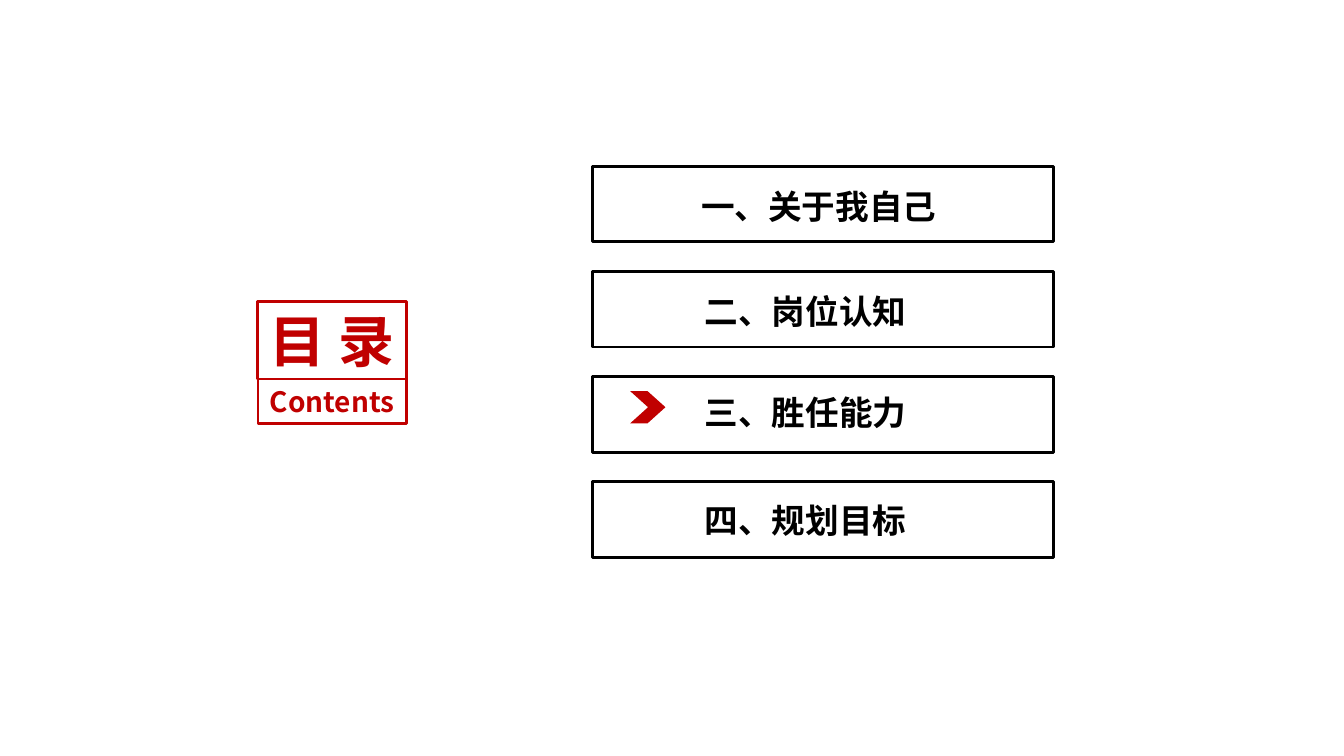
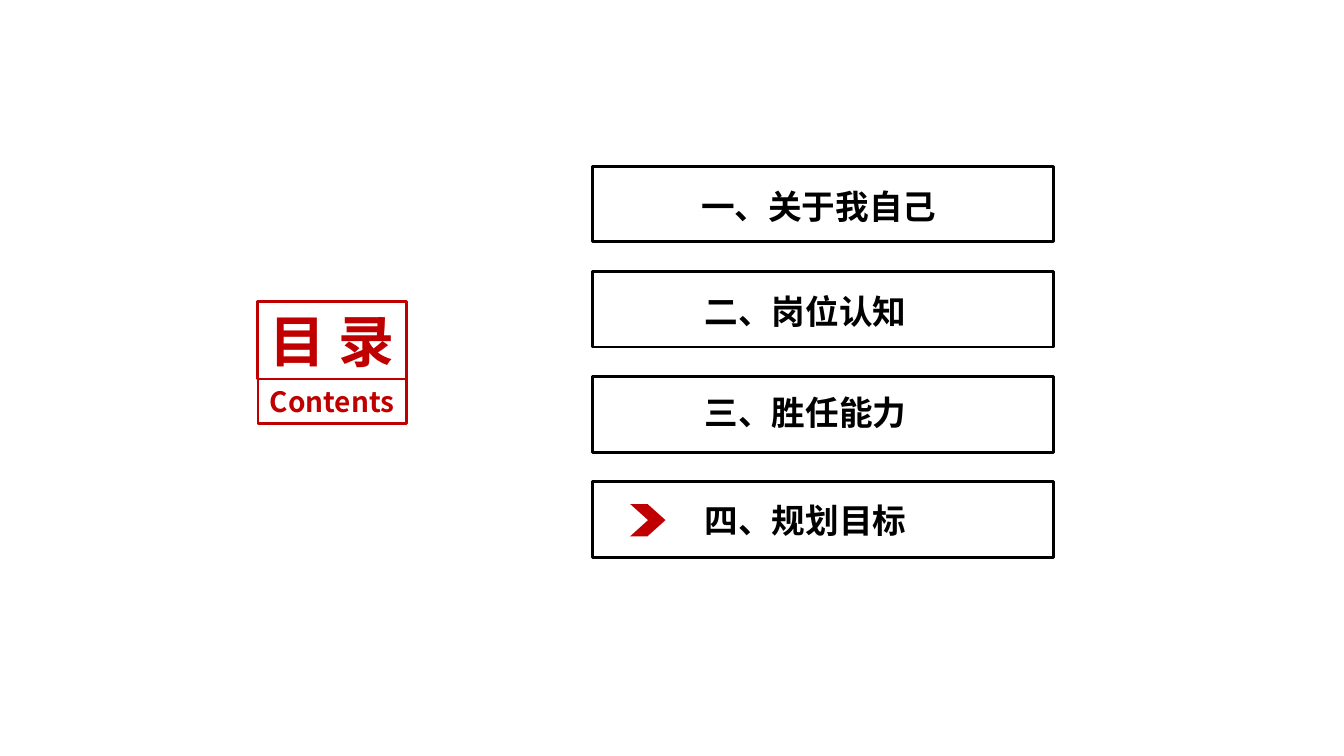
from dataclasses import dataclass

from lxml import etree
from pptx import Presentation
from pptx.dml.color import RGBColor
from pptx.enum.shapes import MSO_SHAPE
from pptx.enum.text import MSO_ANCHOR, MSO_AUTO_SIZE, PP_ALIGN
from pptx.oxml.ns import qn
from pptx.util import Inches, Pt

RECTANGLE = MSO_SHAPE.RECTANGLE
CHEVRON = MSO_SHAPE.CHEVRON
MIDDLE = MSO_ANCHOR.MIDDLE
CENTER = PP_ALIGN.CENTER
NO_AUTOSIZE = MSO_AUTO_SIZE.NONE


@dataclass(frozen=True)
class Theme:
    red: RGBColor = RGBColor(0xC0, 0x00, 0x00)
    black: RGBColor = RGBColor(0x00, 0x00, 0x00)
    white: RGBColor = RGBColor(0xFF, 0xFF, 0xFF)
    font: str = "Noto Sans CJK SC"
    title_size: int = 40
    subtitle_size: int = 20
    chapter_size: int = 24
    line_width: int = 2


@dataclass(frozen=True)
class Box:
    left: float
    top: float
    width: float
    height: float

    def lengths(self):
        return [Inches(value) for value in (self.left, self.top, self.width, self.height)]


@dataclass(frozen=True)
class Chapter:
    text: str
    label: Box


THEME = Theme()

TITLE_BOX = Box(2.55, 2.99, 1.48, 0.77)
SUBTITLE_BOX = Box(2.56, 3.76, 1.47, 0.44)

CHAPTERS = [
    Chapter("一、关于我自己", Box(6.88, 1.81, 2.48, 0.46)),
    Chapter("二、岗位认知", Box(6.92, 2.86, 2.14, 0.46)),
    Chapter("三、胜任能力", Box(6.92, 3.86, 2.14, 0.46)),
    Chapter("四、规划目标", Box(6.92, 4.93, 2.14, 0.46)),
]
FIRST_BAR_TOP, LAST_BAR_TOP = 1.65, 4.78
BAR_STEP = (LAST_BAR_TOP - FIRST_BAR_TOP) / (len(CHAPTERS) - 1)

# One slide for each current chapter, given by its marker
MARKERS = [Box(6.25, 3.88, 0.35, 0.32), Box(6.25, 5.0, 0.35, 0.32)]


def write_text(shape, text: str, *, size: int, color: RGBColor,
               inset: tuple[float, float]) -> None:
    """Write one bold centred line in the theme font."""
    frame = shape.text_frame
    frame.word_wrap = False
    frame.auto_size = NO_AUTOSIZE
    frame.vertical_anchor = MIDDLE
    frame.margin_left = frame.margin_right = Inches(inset[0])
    frame.margin_top = frame.margin_bottom = Inches(inset[1])
    para = frame.paragraphs[0]
    para.alignment = CENTER
    span = para.add_run()
    span.text = text
    span.font.name = THEME.font
    span.font.size = Pt(size)
    span.font.bold = True
    span.font.color.rgb = color
    # East Asian typeface follows the Latin one
    latin = span.font._element.find(qn("a:latin"))
    east_asian = etree.Element(qn("a:ea"), typeface=THEME.font)
    latin.addnext(east_asian)


def add_frame(shapes, box: Box, line_color: RGBColor):
    """Add a white rectangle with a coloured outline."""
    shape = shapes.add_shape(RECTANGLE, *box.lengths())
    shape.shadow.inherit = False
    shape.fill.solid()
    shape.fill.fore_color.rgb = THEME.white
    shape.line.color.rgb = line_color
    shape.line.width = Pt(THEME.line_width)
    return shape


def add_heading(page) -> None:
    group = page.shapes.add_group_shape()
    for text, box, size in (("目 录", TITLE_BOX, THEME.title_size),
                            ("Contents", SUBTITLE_BOX, THEME.subtitle_size)):
        shape = add_frame(group.shapes, box, THEME.red)
        write_text(shape, text, size=size, color=THEME.red, inset=(0.1, 0.05))


def add_chapters(page) -> None:
    for index in range(len(CHAPTERS)):
        bar = Box(5.88, FIRST_BAR_TOP + index * BAR_STEP, 4.57, 0.75)
        add_frame(page.shapes, bar, THEME.black)
    for chapter in CHAPTERS:
        label = page.shapes.add_textbox(*chapter.label.lengths())
        write_text(label, chapter.text, size=THEME.chapter_size,
                   color=THEME.black, inset=(0.06, 0.03))


def add_marker(page, box: Box) -> None:
    marker = page.shapes.add_shape(CHEVRON, *box.lengths())
    marker.adjustments[0] = 0.555
    marker.shadow.inherit = False
    marker.fill.solid()
    marker.fill.fore_color.rgb = THEME.red
    marker.line.fill.background()


def main() -> None:
    deck = Presentation()
    deck.slide_width = Inches(13.33)
    deck.slide_height = Inches(7.5)
    blank_layout = deck.slide_layouts[6]
    for marker in MARKERS:
        page = deck.slides.add_slide(blank_layout)
        add_heading(page)
        add_chapters(page)
        add_marker(page, marker)
    deck.save("out.pptx")


if __name__ == "__main__":
    main()
